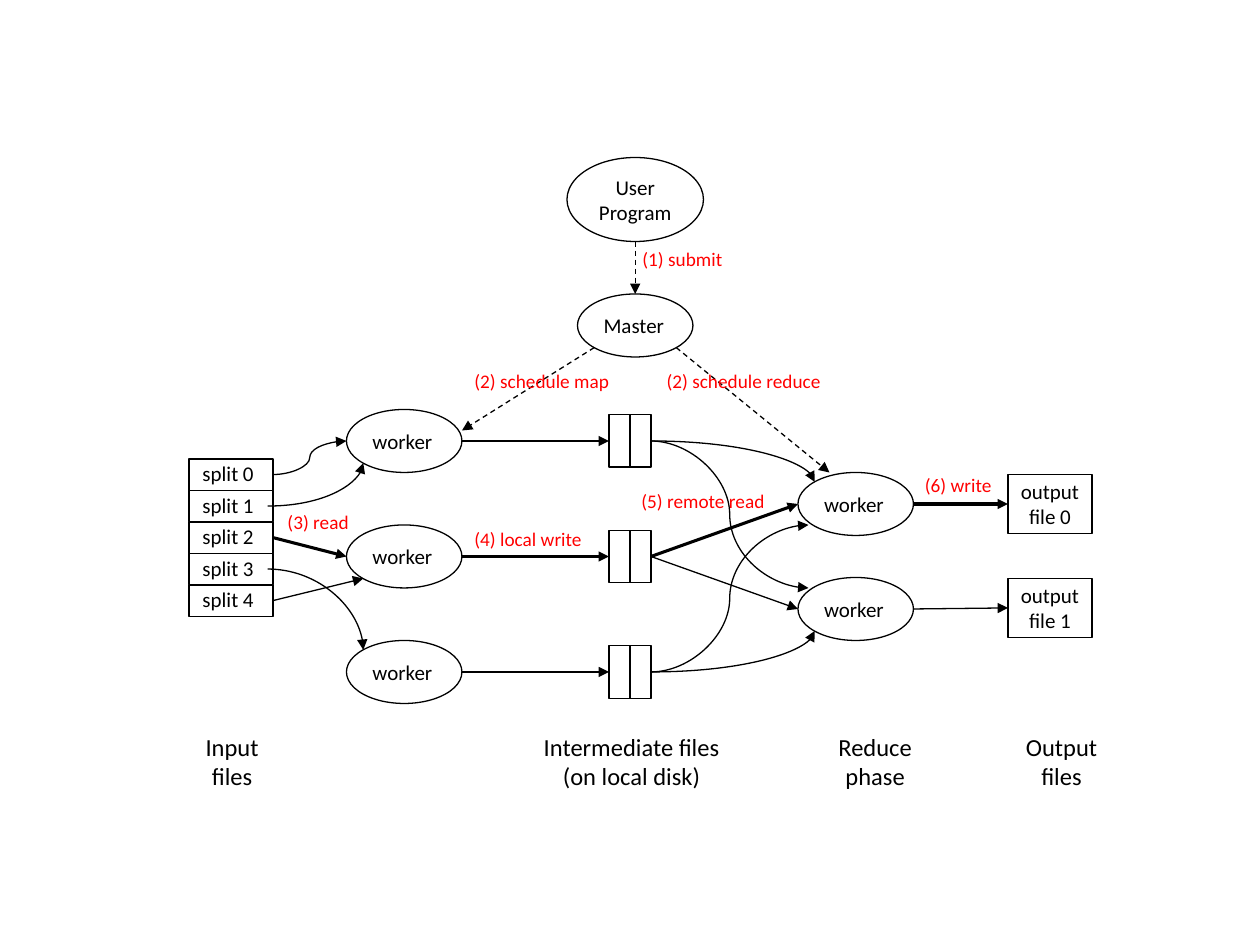
from lxml.etree import SubElement
from pptx import Presentation
from pptx.dml.color import RGBColor
from pptx.enum.dml import MSO_LINE
from pptx.enum.shapes import MSO_CONNECTOR, MSO_SHAPE
from pptx.enum.text import MSO_AUTO_SIZE, PP_ALIGN
from pptx.oxml.ns import qn
from pptx.util import Pt

SCALE = 7620


def px(*nums):
    return [n * SCALE for n in nums]


def color(code):
    return RGBColor.from_string(code)


class Chart:
    """Draws the parts of the flow chart on one slide."""

    font, ink, red = "Calibri", "000000", "FF0000"
    thin, thick = 0.75, 1.75

    def __init__(self, slide):
        self.shapes = slide.shapes

    def shape(self, kind, *area):
        item = self.shapes.add_shape(kind, *px(*area))
        item.shadow.inherit = False
        item.fill.background()
        item.line.color.rgb = color(self.ink)
        item.line.width = Pt(self.thin)
        return item

    def box(self, *area):
        return self.shape(MSO_SHAPE.RECTANGLE, *area)

    def oval(self, *area):
        return self.shape(MSO_SHAPE.OVAL, *area)

    def text(self, words, *area, size=12, code=ink, align=PP_ALIGN.LEFT):
        frame = self.shapes.add_textbox(*px(*area)).text_frame
        frame.word_wrap = False
        frame.auto_size = MSO_AUTO_SIZE.SHAPE_TO_FIT_TEXT
        frame.text = words
        for para in frame.paragraphs:
            para.alignment = align
            for run in para.runs:
                run.font.name = self.font
                run.font.size = Pt(size)
                run.font.color.rgb = color(code)

    def arrow(self, kind, start, end, width=thin):
        line = self.shapes.add_connector(kind, *px(*start, *end))
        line.line.color.rgb = color(self.ink)
        line.line.width = Pt(width)
        return line

    def head(self, line):
        SubElement(line.line._get_or_add_ln(), qn("a:tailEnd"), type="triangle")
        SubElement(line._element.spPr, qn("a:effectLst"))

    def link(self, start, end, width=thin, dash=False, source=None, target=None):
        line = self.arrow(MSO_CONNECTOR.STRAIGHT, start, end, width)
        if dash:
            line.line.dash_style = MSO_LINE.DASH
        if source is not None:
            line.begin_connect(source, 3)
        if target is not None:
            line.end_connect(target, 1)
        self.head(line)

    def curve(self, start, end, bend=False):
        line = self.arrow(MSO_CONNECTOR.CURVE, start, end)
        if bend:
            line._element.spPr.find(qn("a:prstGeom")).set("prst", "curvedConnector2")
        self.head(line)


def main():
    deck = Presentation()
    deck.slide_width, deck.slide_height = px(1200, 900)
    chart = Chart(deck.slides.add_slide(deck.slide_layouts[6]))
    mid = PP_ALIGN.CENTER

    splits = []
    for i in range(5):
        top = 437 + 30 * i
        splits.append(chart.box(180, top, 80, 30))
        chart.text(f"split {i}", 181, top - 4, 73, 36)

    maps = [(330, 390 + 110 * i) for i in range(3)]
    for left, top in maps + [(760, 450), (760, 550)]:
        chart.oval(left, top, 110, 60)
        chart.text("worker", left + 13, top + 12, 84, 36)

    chart.oval(550, 280, 110, 60)
    chart.text("Master", 563, 292, 83, 36)
    chart.oval(540, 150, 130, 80)
    chart.text("User\vProgram", 558, 160, 94, 60, align=mid)

    outs = []
    for i in range(2):
        top = 452 + 99 * i
        outs.append(chart.box(960, top, 80, 56))
        chart.text(f"output\nfile {i}", 960, top - 2, 80, 61, align=mid)

    files = [[chart.box(left, top + 5, 20, 50) for left in (580, 600)]
             for _, top in maps]

    for start, end, bend in (
        ((260, 452), (330, 420), False),
        ((255, 482), (346, 441), True),
        ((255, 542), (346, 619), True),
        ((620, 420), (776, 459), True),
        ((620, 420), (770, 560), False),
        ((620, 640), (770, 500), False),
        ((620, 640), (776, 601), True),
    ):
        chart.curve(start, end, bend)

    bold, thin = chart.thick, chart.thin
    chart.link((260, 512), (330, 530), bold, source=splits[2])
    chart.link((260, 572), (346, 551), source=splits[4])
    for pair, (_, top), width in zip(files, maps, (thin, bold, thin)):
        chart.link((440, top + 30), (580, top + 30), width, target=pair[0])
    for out, high, width in zip(outs, (480, 580), (bold, thin)):
        chart.link((620, 530), (760, high), width, source=files[1][1])
        chart.link((870, high), (960, high), width, target=out)

    for start, end in (
        ((605, 230), (605, 280)),
        ((566, 331), (440, 410)),
        ((644, 331), (790, 450)),
    ):
        chart.link(start, end, dash=True)

    for words, left, top, wide in (
        ("(1) submit", 600, 230, 107),
        ("(2) schedule map", 440, 346, 167),
        ("(2) schedule reduce", 623, 346, 187),
        ("(3) read", 262, 480, 89),
        ("(4) local write", 440, 496, 134),
        ("(5) remote read", 599, 460, 151),
        ("(6) write", 869, 445, 91),
    ):
        chart.text(words, left, top, wide, 35, size=11, code=chart.red)

    for words, left, wide in (
        ("Input\nfiles", 183, 76),
        ("Intermediate files\n(on local disk)", 505, 193),
        ("Reduce\nphase", 786, 95),
        ("Output\nfiles", 964, 94),
    ):
        chart.text(words, left, 691, wide, 68, size=14, align=mid)

    deck.save("out.pptx")


if __name__ == "__main__":
    main()
